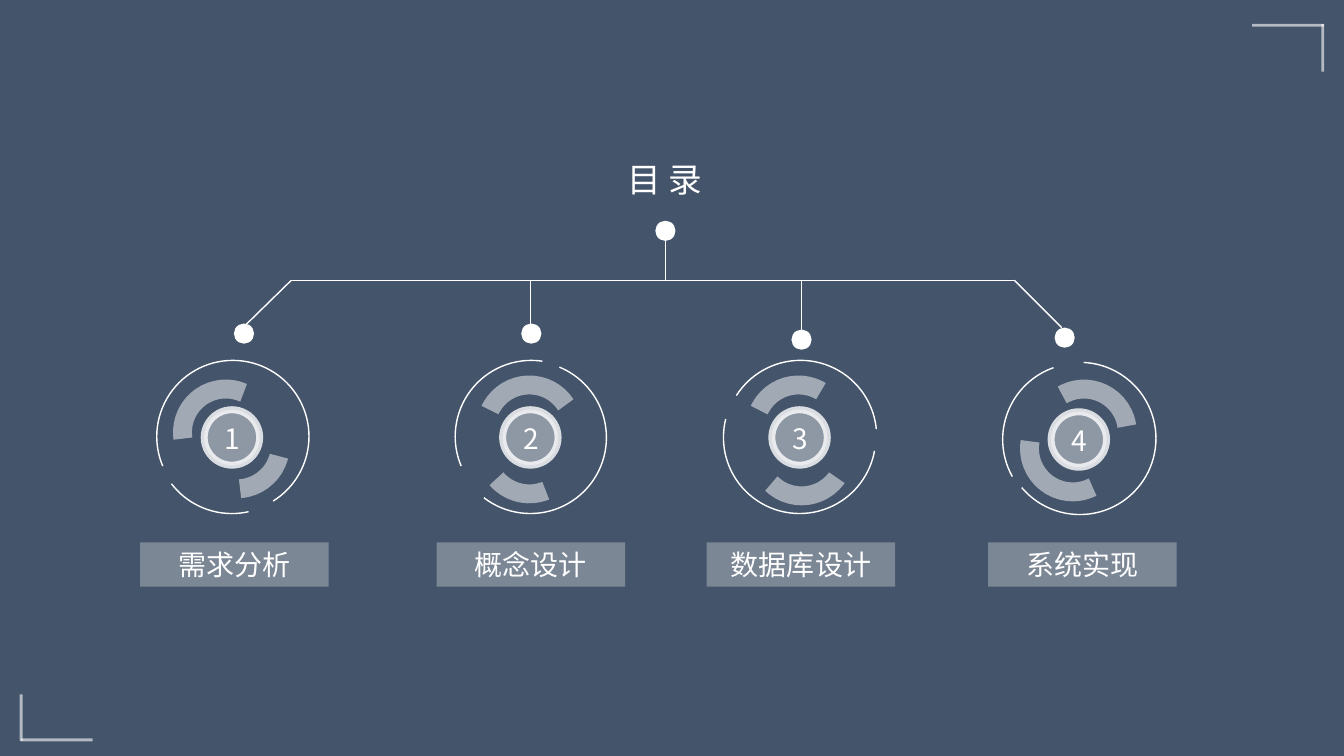
"""Build the contents slide: a title branching to four numbered chapters."""
from lxml import etree
from pptx import Presentation
from pptx.dml import color
from pptx.enum import shapes, text
from pptx.oxml import ns
from pptx.util import Inches, Pt

FONT = "Noto Sans CJK SC"
WHITE = "FFFFFF"
TITLE = "目 录"
CHAPTERS = [
    {"label": "需求分析", "label_left": 1.39, "center": (2.3, 4.34),
     "rings": [(94.27, 34.84), (46.39, 85.48)],
     "bands": [(1.92, 3.99, 16.6, 214.6, 41.54), (1.81, 3.86, 25.3, 87.82, 161.35)]},
    {"label": "概念设计", "label_left": 4.33, "center": (5.26, 4.34),
     "rings": [(94.27, 167.01), (175.49, 76.55)],
     "bands": [(4.82, 4.04, 70.1, 214.6, 41.54), (4.82, 3.82, 58.4, 87.82, 161.35)]},
    {"label": "数据库设计", "label_left": 7.01, "center": (7.93, 4.34),
     "rings": [(127.53, 212.66), (6.08, 116.44)],
     "bands": [(7.52, 4.06, 97.2, 179.01, 22.28), (7.49, 3.82, 58.4, 87.82, 145.6)]},
    {"label": "系统实现", "label_left": 9.8, "center": (10.7, 4.36),
     "rings": [(163.72, 83.87), (90.51, 150.36)],
     "bands": [(10.21, 4.02, 120.4, 181.45, 41.54), (10.32, 3.86, 93.5, 87.82, 154.9)]},
]
CORNER_LINES = [
    (12.42, 0.25, 13.13, 0.25), (13.12, 0.24, 13.12, 0.71),
    (0.92, 7.34, 0.21, 7.34), (0.21, 7.35, 0.21, 6.89),
]
BRANCH_LINES = [
    (2.89, 2.78, 10.06, 2.78), (2.89, 2.78, 2.41, 3.25), (10.06, 2.78, 10.53, 3.25),
    (5.26, 2.78, 5.26, 3.27), (7.95, 2.78, 7.95, 3.27), (6.6, 2.3, 6.6, 2.79),
]
DOTS = [(6.5, 2.19), (2.32, 3.21), (5.17, 3.21), (7.85, 3.27), (10.46, 3.25)]
DOT_SIZE, RING_SIZE, BAND_SIZE, DISC_SIZE = 0.2, 1.51, 0.86, 0.55
LABEL_TOP, LABEL_WIDTH, LABEL_HEIGHT = 5.38, 1.87, 0.44


def paint(fill, hex_color, opacity=100):
    fill.solid()
    fill.fore_color.rgb = color.RGBColor.from_string(hex_color)
    if opacity < 100:
        element = fill._xPr.find(ns.qn("a:solidFill"))[0]
        etree.SubElement(element, ns.qn("a:alpha"), val=str(opacity * 1000))


def outline(line, width, opacity=100):
    line.width = Pt(width)
    paint(line.fill, WHITE, opacity)


def add_line(slide, ends, width, opacity=100):
    line = slide.shapes.add_connector(shapes.MSO_CONNECTOR.STRAIGHT, *map(Inches, ends))
    outline(line.line, width, opacity)
    etree.SubElement(line._element.spPr, ns.qn("a:effectLst"))


def add_shape(slide, kind, left, top, width, height):
    shape = slide.shapes.add_shape(kind, *map(Inches, (left, top, width, height)))
    shape.shadow.inherit = False
    shape.line.fill.background()
    return shape


def add_arc(slide, left, top, size, angles, width, opacity=100, rotation=0):
    arc = add_shape(slide, shapes.MSO_SHAPE.ARC, left, top, size, size)
    arc.fill.background()
    arc.adjustments[0], arc.adjustments[1] = angles
    arc.rotation = rotation
    outline(arc.line, width, opacity)


def write(shape, words, size, alignment, anchor=text.MSO_ANCHOR.TOP):
    frame = shape.text_frame
    frame.word_wrap = True
    frame.vertical_anchor = anchor
    paragraph = frame.paragraphs[0]
    paragraph.alignment = alignment
    run = paragraph.add_run()
    run.text = words
    run.font.size = Pt(size)
    run.font.name = FONT
    paint(run.font.fill, WHITE)
    east_asian = etree.Element(ns.qn("a:ea"), typeface=FONT)
    run.font._element.find(ns.qn("a:latin")).addnext(east_asian)


def add_chapter(slide, number, chapter):
    x, y = chapter["center"]
    for (start, end), shift in zip(chapter["rings"], (0.01, 0)):
        add_arc(slide, x - RING_SIZE / 2 + shift, y - RING_SIZE / 2 - shift,
                RING_SIZE, (start, end), 1)
    for left, top, rotation, start, end in chapter["bands"]:
        add_arc(slide, left, top, BAND_SIZE, (start, end), 13.5, 50, rotation)
    disc = add_shape(slide, shapes.MSO_SHAPE.OVAL, x - DISC_SIZE / 2, y - DISC_SIZE / 2,
                     DISC_SIZE, DISC_SIZE)
    paint(disc.fill, WHITE, 40)
    outline(disc.line, 5, 80)
    numeral = slide.shapes.add_textbox(
        *map(Inches, (x - 0.17, y - 0.21, 0.57, LABEL_HEIGHT)))
    write(numeral, str(number), 20, text.PP_ALIGN.LEFT)
    label = add_shape(slide, shapes.MSO_SHAPE.RECTANGLE, chapter["label_left"],
                      LABEL_TOP, LABEL_WIDTH, LABEL_HEIGHT)
    paint(label.fill, WHITE, 30)
    write(label, chapter["label"], 20, text.PP_ALIGN.CENTER)


def main():
    presentation = Presentation()
    presentation.slide_width, presentation.slide_height = Inches(13.33), Inches(7.5)
    slide = presentation.slides.add_slide(presentation.slide_layouts[5])
    paint(slide.background.fill, "44546A")
    for ends in CORNER_LINES:
        add_line(slide, ends, 2, 60)
    title = slide.shapes.title
    title.left, title.top, title.width, title.height = map(Inches, (6.08, 1.53, 1.03, 0.5))
    write(title, TITLE, 24, text.PP_ALIGN.CENTER)
    for ends in BRANCH_LINES:
        add_line(slide, ends, 1)
    for left, top in DOTS:
        dot = add_shape(slide, shapes.MSO_SHAPE.OVAL, left, top, DOT_SIZE, DOT_SIZE)
        paint(dot.fill, WHITE)
    for number, chapter in enumerate(CHAPTERS, 1):
        add_chapter(slide, number, chapter)
    presentation.save("out.pptx")


if __name__ == "__main__":
    main()
